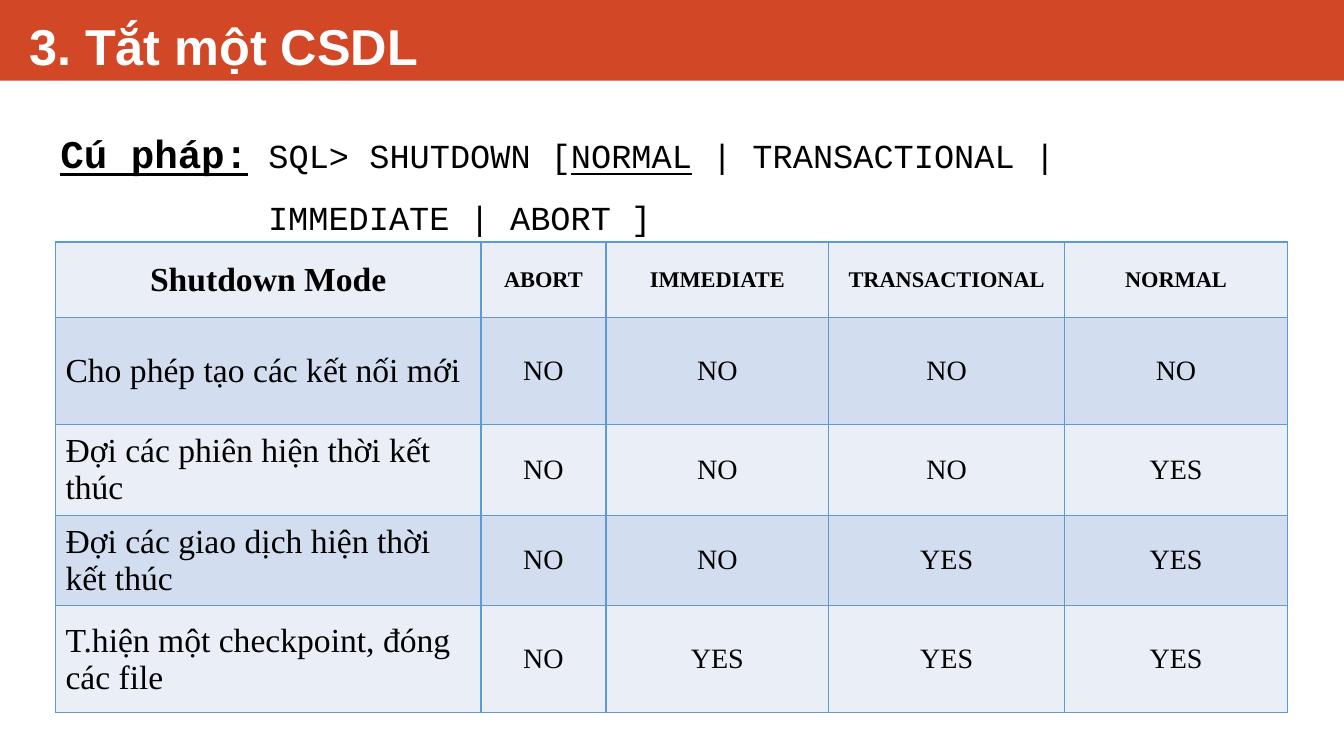
from pptx import Presentation
from pptx import util as u
from pptx.dml.color import RGBColor
from pptx.enum import shapes, text
from pptx.oxml import parse_xml
from pptx.oxml.ns import nsdecls

ORANGE = RGBColor(0xD2, 0x47, 0x26)
WHITE = RGBColor(0xFF, 0xFF, 0xFF)
BLACK = RGBColor(0, 0, 0)
BORDER_BLUE = RGBColor(0x5B, 0x9B, 0xD5)
BANDS = (RGBColor(0xEA, 0xEF, 0xF7), RGBColor(0xD2, 0xDE, 0xEF))

COLUMN_WIDTHS = (4.22, 1.24, 2.21, 2.34, 2.21)
ROW_HEIGHTS = (0.75, 1.06, 0.75, 0.68, 1.06)
SHUTDOWN_MODES = (
    ("Shutdown Mode", "ABORT", "IMMEDIATE", "TRANSACTIONAL", "NORMAL"),
    ("Cho phép tạo các kết nối mới", "NO", "NO", "NO", "NO"),
    ("Đợi các phiên hiện thời kết thúc", "NO", "NO", "NO", "YES"),
    ("Đợi các giao dịch hiện thời kết thúc", "NO", "NO", "YES", "YES"),
    ("T.hiện một checkpoint, đóng các file", "NO", "YES", "YES", "YES"),
)


def add_span(para, words, font, size, color=BLACK, bold=False, underline=False):
    span = para.add_run()
    span.text = words
    span.font.name = font
    span.font.size = u.Pt(size)
    span.font.color.rgb = color
    span.font.bold = bold
    span.font.underline = underline


def add_text_box(page, left, top, width, height):
    box = page.shapes.add_textbox(*map(u.Inches, (left, top, width, height)))
    box.text_frame.word_wrap = True
    return box.text_frame


def add_header(page, left, top, width, height):
    band = page.shapes.add_shape(
        shapes.MSO_SHAPE.RECTANGLE, *map(u.Inches, (left, top, width, height)))
    band.shadow.inherit = False
    band.fill.solid()
    band.fill.fore_color.rgb = ORANGE
    band.line.fill.background()
    title = add_text_box(page, left + 0.19, top, width - 0.39, height)
    title.vertical_anchor = text.MSO_ANCHOR.BOTTOM
    add_span(title.paragraphs[0], "3. Tắt một CSDL", "Arial", 36, WHITE, bold=True)


def add_syntax(page, left, top, width, height):
    frame = add_text_box(page, left, top, width, height)
    frame.auto_size = text.MSO_AUTO_SIZE.SHAPE_TO_FIT_TEXT
    para = frame.paragraphs[0]
    para.line_spacing = 1.5
    para.space_before = u.Pt(6)
    indents = para._p.get_or_add_pPr()
    indents.set("marL", str(u.Inches(2.12)))
    indents.set("indent", str(u.Inches(-2.06)))
    add_span(para, "Cú pháp:", "Courier New", 28, bold=True, underline=True)
    for words, underline in ((" SQL> SHUTDOWN [", False), ("NORMAL", True),
                             (" | TRANSACTIONAL | IMMEDIATE | ABORT ]", False)):
        add_span(para, words, "Courier New", 24, underline=underline)


def add_borders(cell):
    properties = cell._tc.get_or_add_tcPr()
    for side in ("lnL", "lnR", "lnT", "lnB"):
        properties.append(parse_xml(
            f'<a:{side} {nsdecls("a")} w="{u.Pt(1)}"><a:solidFill>'
            f'<a:srgbClr val="{BORDER_BLUE}"/></a:solidFill></a:{side}>'))


def fill_cell(cell, words, row, column):
    add_borders(cell)
    cell.fill.solid()
    cell.fill.fore_color.rgb = BANDS[row % 2]
    cell.vertical_anchor = text.MSO_ANCHOR.MIDDLE
    para = cell.text_frame.paragraphs[0]
    is_header = row == 0
    if is_header or column > 0:
        para.alignment = text.PP_ALIGN.CENTER
    size = 24 if column == 0 else 16 if is_header else 20
    add_span(para, words, "Times New Roman", size, bold=is_header)


def add_mode_table(page, left, top, width, height):
    table = page.shapes.add_table(
        len(ROW_HEIGHTS), len(COLUMN_WIDTHS),
        *map(u.Inches, (left, top, width, height))).table
    table.first_row = False
    table.horz_banding = False
    for column, size in zip(table.columns, COLUMN_WIDTHS):
        column.width = u.Inches(size)
    for row, size in zip(table.rows, ROW_HEIGHTS):
        row.height = u.Inches(size)
    for row, entries in enumerate(SHUTDOWN_MODES):
        for column, words in enumerate(entries):
            fill_cell(table.cell(row, column), words, row, column)


deck = Presentation()
deck.slide_width = u.Inches(13.33)
deck.slide_height = u.Inches(7.5)
page = deck.slides.add_slide(deck.slide_layouts[6])
add_header(page, 0, 0, 13.33, 0.8)
add_mode_table(page, 0.55, 2.4, 12.21, 4.67)
add_syntax(page, 0.44, 1, 11.34, 1.41)
deck.save("out.pptx")
